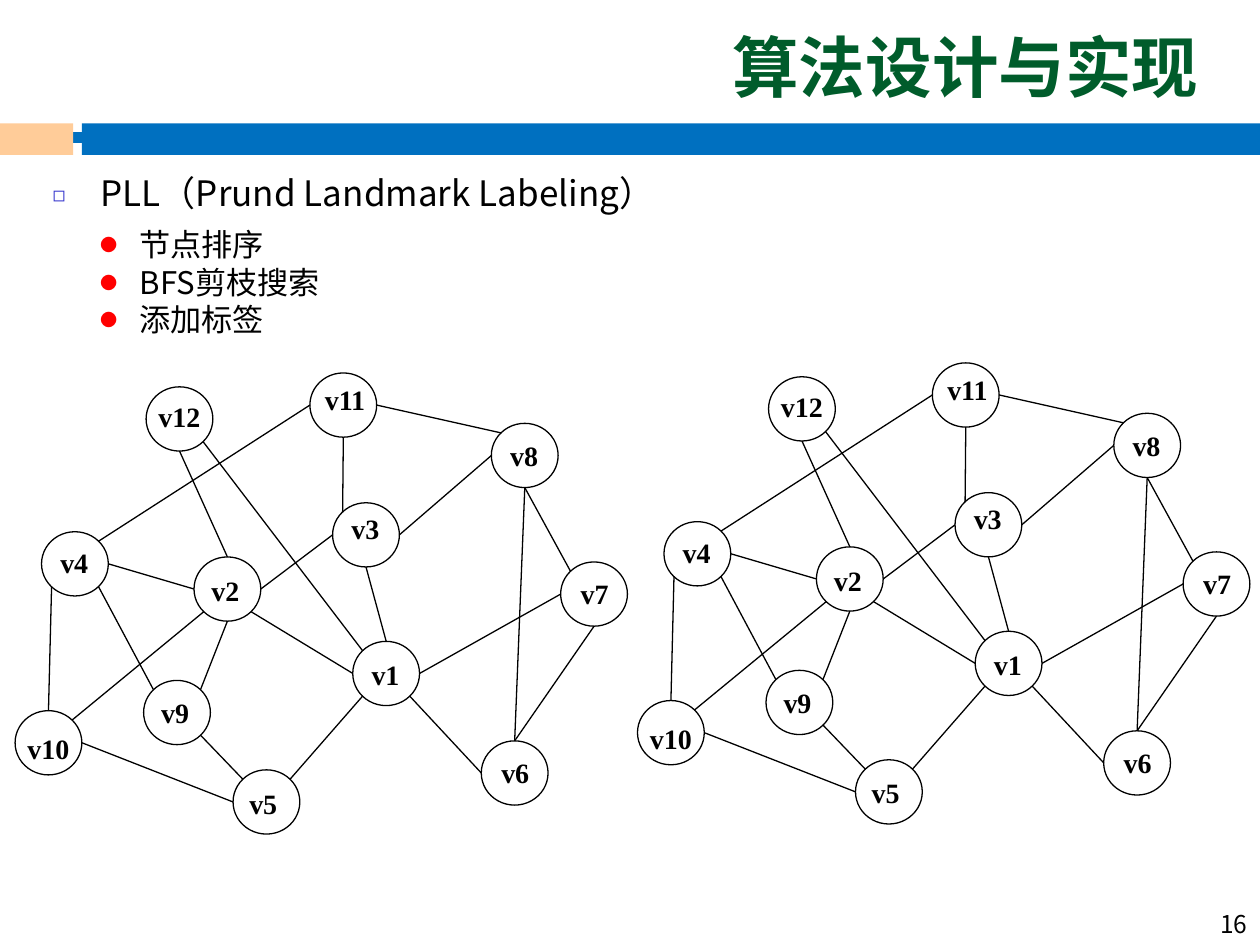
"""Build the slide that introduces PLL with two views of the same graph."""
from lxml.etree import SubElement
from pptx import Presentation
from pptx.dml.color import RGBColor
from pptx.enum.shapes import MSO_CONNECTOR, MSO_SHAPE
from pptx.enum.text import MSO_ANCHOR, PP_ALIGN
from pptx.oxml.ns import qn
from pptx.util import Inches, Pt

COLORS = {
    "title": "005C2B", "band": "0070C0", "accent": "FFCC99", "text": "000000",
    "square": "3333CC", "dot": "FF0000",
}
SANS, SERIF = "Noto Sans CJK SC", "Times New Roman"

TITLE = "算法设计与实现"
PAGE = "16"
TOPIC = "PLL（Prund Landmark Labeling）"
STEPS = ["节点排序", "BFS剪枝搜索", "添加标签"]

# name: (left, top, label shift right, label shift down)
NODES = {
    "v1": (2.8, 5.09, 0.05, 0.08), "v2": (1.54, 4.42, 0.04, 0.08),
    "v3": (2.64, 3.99, 0.05, 0.02), "v4": (0.33, 4.22, 0.05, 0.06),
    "v5": (1.85, 6.11, 0.03, 0.08), "v6": (3.82, 5.88, 0.06, 0.07),
    "v7": (4.45, 4.46, 0.06, 0.07), "v8": (3.9, 3.36, 0.05, 0.07),
    "v9": (1.14, 5.4, 0.04, 0.07), "v10": (0.12, 5.64, 0, 0.12),
    "v11": (2.46, 2.96, 0.02, 0.03), "v12": (1.16, 3.07, 0, 0.05),
}
EDGES = [
    ("v11", "S", "v3", "NW"), ("v8", "S", "v6", "N"), ("v8", "S", "v7", "NW"),
    ("v3", "S", "v1", "N"), ("v1", "SW", "v5", "NE"), ("v1", "SE", "v6", "W"),
    ("v7", "S", "v6", "N"), ("v8", "W", "v3", "E"), ("v8", "NW", "v11", "E"),
    ("v11", "W", "v4", "NE"), ("v12", "S", "v2", "N"), ("v1", "E", "v7", "W"),
    ("v2", "SE", "v1", "W"), ("v12", "SE", "v1", "NW"), ("v2", "W", "v4", "E"),
    ("v4", "SE", "v9", "NW"), ("v10", "N", "v4", "SW"), ("v5", "W", "v10", "E"),
    ("v10", "NE", "v2", "SW"), ("v9", "NE", "v2", "S"), ("v9", "SE", "v5", "NW"),
    ("v3", "W", "v2", "E"),
]
GRAPH_OFFSETS = [(4.94, -0.08), (0, 0)]
NODE_W, NODE_H = 0.53, 0.51
NEAR, FAR = 0.15, 0.85
SITES = {
    "N": (0.5, 0), "S": (0.5, 1), "W": (0, 0.5), "E": (1, 0.5),
    "NW": (NEAR, NEAR), "NE": (FAR, NEAR), "SW": (NEAR, FAR), "SE": (FAR, FAR),
}


def rgb(name):
    return RGBColor.from_string(COLORS[name])


def add_text(slide, box, lines, size, font=SANS, color="text", bold=False,
             align=PP_ALIGN.LEFT, anchor=MSO_ANCHOR.TOP, wrap=True,
             bullet=None, spacing=None):
    frame = slide.shapes.add_textbox(*map(Inches, box)).text_frame
    frame.word_wrap = wrap
    frame.vertical_anchor = anchor
    frame.text = "\n".join(lines)
    for paragraph in frame.paragraphs:
        paragraph.alignment = align
        if spacing:
            paragraph.line_spacing = spacing
        properties = paragraph._p.get_or_add_pPr()
        if bullet:
            add_bullet(properties, **bullet)
        paragraph.font.name = font
        paragraph.font.size = Pt(size)
        paragraph.font.bold = bold
        paragraph.font.color.rgb = rgb(color)
        defaults = properties.find(qn("a:defRPr"))
        SubElement(defaults, qn("a:ea")).set("typeface", font)


def add_bullet(properties, char, color, percent, margin, hanging):
    properties.set("marL", str(Inches(margin)))
    properties.set("indent", str(-Inches(hanging)))
    tint = SubElement(properties, qn("a:buClr"))
    SubElement(tint, qn("a:srgbClr")).set("val", COLORS[color])
    SubElement(properties, qn("a:buSzPct")).set("val", str(percent * 1000))
    SubElement(properties, qn("a:buFont")).set("typeface", SANS)
    SubElement(properties, qn("a:buChar")).set("char", char)


def add_line(slide, start, end, color, width):
    line = slide.shapes.add_connector(
        MSO_CONNECTOR.STRAIGHT, *map(Inches, (*start, *end)))
    line.line.color.rgb = rgb(color)
    line.line.width = Pt(width)
    SubElement(line._element.spPr, qn("a:effectLst"))


def add_band(slide, box, color):
    band = slide.shapes.add_shape(MSO_SHAPE.RECTANGLE, *map(Inches, box))
    band.shadow.inherit = False
    band.fill.solid()
    band.fill.fore_color.rgb = rgb(color)
    band.line.fill.background()


def add_graph(slide, dx, dy):
    def site(name, side):
        left, top = NODES[name][:2]
        across, down = SITES[side]
        return left + dx + across * NODE_W, top + dy + down * NODE_H

    for name, (left, top, shift_x, shift_y) in NODES.items():
        x, y = left + dx, top + dy
        node = slide.shapes.add_shape(
            MSO_SHAPE.OVAL, *map(Inches, (x, y, NODE_W, NODE_H)))
        node.shadow.inherit = False
        node.fill.background()
        node.line.color.rgb = rgb("text")
        node.line.width = Pt(0.75)
        label_width = 0.2 + 0.11 * len(name)
        add_text(slide, (x + shift_x, y + shift_y, label_width, 0.37), [name],
                 16, font=SERIF, bold=True, wrap=False)
    for start, start_side, end, end_side in EDGES:
        add_line(slide, site(start, start_side), site(end, end_side), "text", 0.75)


def main():
    deck = Presentation()
    deck.slide_width, deck.slide_height = Inches(10), Inches(7.5)
    slide = deck.slides.add_slide(deck.slide_layouts[6])

    add_line(slide, (0.08, 1.09), (9.49, 1.09), "band", 6)
    add_band(slide, (0.65, 0.98, 9.35, 0.25), "band")
    add_band(slide, (0, 0.98, 0.58, 0.25), "accent")
    add_text(slide, (1.38, 0.31, 8.23, 0.58), [TITLE], 38, color="title",
             bold=True, align=PP_ALIGN.RIGHT, anchor=MSO_ANCHOR.BOTTOM)
    add_text(slide, (7.92, 7, 2.08, 0.5), [PAGE], 14,
             align=PP_ALIGN.RIGHT, anchor=MSO_ANCHOR.BOTTOM)
    add_text(slide, (0.32, 1.35, 9.65, 0.58), [TOPIC], 20, spacing=0.9,
             bullet={"char": "◻", "color": "square", "percent": 60,
                     "margin": 0.38, "hanging": 0.38})
    add_text(slide, (0.2, 1.74, 9.65, 0.95), STEPS, 17.8, spacing=Pt(21.4),
             bullet={"char": "●", "color": "dot", "percent": 55,
                     "margin": 0.81, "hanging": 0.31})
    for offset in GRAPH_OFFSETS:
        add_graph(slide, *offset)
    deck.save("out.pptx")


if __name__ == "__main__":
    main()
